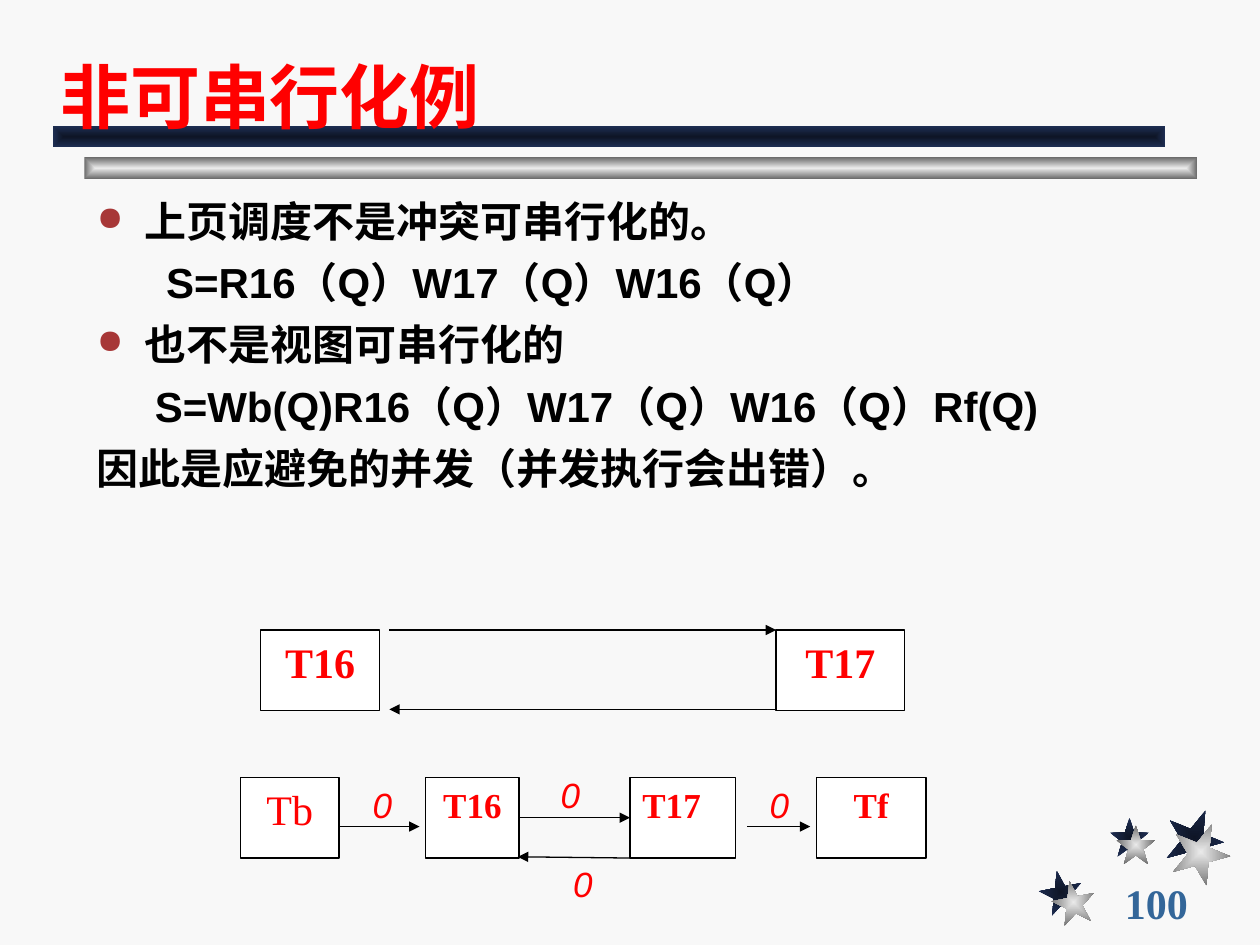
"""Build the slide about a schedule that is not serializable."""
import pptx
import pptx.util
import pptx.dml.color
import pptx.enum.shapes
import pptx.enum.text
import pptx.oxml
import pptx.oxml.ns
from lxml import etree

Inches = pptx.util.Inches
Pt = pptx.util.Pt
RGBColor = pptx.dml.color.RGBColor
Shape = pptx.enum.shapes.MSO_SHAPE
Align = pptx.enum.text.PP_ALIGN
Anchor = pptx.enum.text.MSO_ANCHOR
qn = pptx.oxml.ns.qn

PAPER = RGBColor(0xF8, 0xF8, 0xF8)
WHITE = RGBColor(0xFF, 0xFF, 0xFF)
BLACK = RGBColor(0x00, 0x00, 0x00)
RED = RGBColor(0xFF, 0x00, 0x00)
BLUE = RGBColor(0x33, 0x66, 0x99)
BULLET = RGBColor(0xA7, 0x37, 0x37)
NAVY = (RGBColor(0x0E, 0x15, 0x26), RGBColor(0x1E, 0x2E, 0x53))
SILVER = (RGBColor(0xEA, 0xEA, 0xEA), RGBColor(0x6C, 0x6C, 0x6C))
SERIF = "Times New Roman"
SANS = "Arial"

STARS = [
    (NAVY, 8.25, 6.91, 0.34, -11),
    (NAVY, 8.81, 6.49, 0.31, 0),
    (NAVY, 9.25, 6.42, 0.46, 22),
    (SILVER, 8.35, 6.99, 0.34, -11),
    (SILVER, 8.86, 6.55, 0.31, 0),
    (SILVER, 9.3, 6.53, 0.46, 22),
]
STATEMENTS = [
    ("上页调度不是冲突可串行化的。", True, 0.38),
    ("S=R16（Q）W17（Q）W16（Q）", False, 0.55),
    ("也不是视图可串行化的", True, 0.38),
    ("S=Wb(Q)R16（Q）W17（Q）W16（Q）Rf(Q)", False, 0.46),
    ("因此是应避免的并发（并发执行会出错）。", False, 0),
]
EDGE_LABELS = [(4.35, 6.09), (2.86, 6.17), (6.01, 6.17), (4.45, 6.8)]


def style_font(font, name, size, color, bold=False, italic=False):
    """Set the typeface, size, colour and weight of a font."""
    font.name, font.size = name, Pt(size)
    font.bold, font.italic = bold, italic
    font.color.rgb = color


def add_ornament(page, kind, colors, left, top, width, height, rotation=0):
    """Add a shape shaded from its centre to its edges."""
    shape = page.shapes.add_shape(
        kind, Inches(left), Inches(top), Inches(width), Inches(height))
    shape.rotation = rotation
    shape.shadow.inherit = False
    shape.line.fill.background()
    shape.fill.gradient()
    for stop, color in zip(shape.fill.gradient_stops, colors):
        stop.color.rgb = color
    gradient = shape._element.spPr.find(qn("a:gradFill"))
    gradient.remove(gradient.find(qn("a:lin")))
    shade = etree.SubElement(gradient, qn("a:path"), path="rect")
    etree.SubElement(shade, qn("a:fillToRect"), l="50000", t="50000", r="50000", b="50000")


def add_label(page, text, left, top, width, height, wrap=False,
              anchor=Anchor.TOP, align=Align.LEFT, **font):
    """Add a one-paragraph text box."""
    box = page.shapes.add_textbox(Inches(left), Inches(top), Inches(width), Inches(height))
    frame = box.text_frame
    frame.word_wrap = wrap
    frame.vertical_anchor = anchor
    frame.text = text
    para = frame.paragraphs[0]
    para.alignment = align
    style_font(para.runs[0].font, **font)


def add_statements(page):
    """Add the body text with its bulleted and indented lines."""
    box = page.shapes.add_textbox(Inches(0.67), Inches(1.5), Inches(8.98), Inches(2.41))
    frame = box.text_frame
    frame.word_wrap = True
    for index, (text, bulleted, indent) in enumerate(STATEMENTS):
        para = frame.add_paragraph() if index else frame.paragraphs[0]
        para.text = text
        para.line_spacing = 1.0
        if index:
            para.space_before = Pt(6.5)
        properties = para._p.get_or_add_pPr()
        properties.set("marL", str(Inches(indent)))
        properties.set("indent", str(-Inches(indent) if bulleted else 0))
        if bulleted:
            color = etree.SubElement(properties, qn("a:buClr"))
            etree.SubElement(color, qn("a:srgbClr"), val=str(BULLET))
            etree.SubElement(properties, qn("a:buSzPct"), val="80000")
            etree.SubElement(properties, qn("a:buChar"), char="●")
        style_font(para.runs[0].font, SANS, 24, BLACK, bold=True)


def add_node(page, text, left, top, width, size, bold=True, align=Align.CENTER):
    """Add a transaction box of the precedence graph."""
    node = page.shapes.add_shape(
        Shape.RECTANGLE, Inches(left), Inches(top), Inches(width), Inches(0.64))
    node.shadow.inherit = False
    node.fill.solid()
    node.fill.fore_color.rgb = WHITE
    node.line.color.rgb = BLACK
    node.line.width = Pt(0.75)
    frame = node.text_frame
    frame.vertical_anchor = Anchor.TOP
    frame.text = text
    para = frame.paragraphs[0]
    para.alignment = align
    style_font(para.runs[0].font, SERIF, size, RED, bold)
    return node


def add_arrow(page, start_x, start_y, end_x, end_y):
    """Add a thin arrow pointing at its end."""
    arrow = page.shapes.add_connector(
        pptx.enum.shapes.MSO_CONNECTOR.STRAIGHT,
        Inches(start_x), Inches(start_y), Inches(end_x), Inches(end_y))
    arrow.line.color.rgb = BLACK
    arrow.line.width = Pt(0.75)
    properties = arrow._element.spPr
    etree.SubElement(properties.find(qn("a:ln")), qn("a:tailEnd"), type="triangle")
    etree.SubElement(properties, qn("a:effectLst"))
    return arrow


def add_conflict_graph(page):
    """Add the upper graph with its two opposing arrows."""
    add_node(page, "T16", 2.07, 5, 0.94, 24)
    add_node(page, "T17", 6.16, 5, 1.02, 24)
    add_arrow(page, 3.09, 5, 6.16, 5)
    add_arrow(page, 6.16, 5.63, 3.09, 5.63)


def add_view_graph(page):
    """Add the lower graph with its labelled arrows."""
    first = add_node(page, "T16", 3.38, 6.17, 0.74, 20)
    second = add_node(page, "T17", 5, 6.17, 0.84, 20, align=Align.JUSTIFY)
    add_node(page, "Tf", 6.48, 6.17, 0.87, 20)
    add_node(page, "Tb", 1.91, 6.17, 0.78, 24, bold=False)
    forward = add_arrow(page, 4.12, 6.49, 5, 6.49)
    forward.begin_connect(first, 3)
    forward.end_connect(second, 1)
    add_arrow(page, 5, 6.81, 4.11, 6.8)
    add_arrow(page, 2.7, 6.56, 3.33, 6.56)
    add_arrow(page, 5.93, 6.56, 6.43, 6.56)
    for left, top in EDGE_LABELS:
        add_label(page, "0", left, top, 0.35, 0.44, align=Align.CENTER,
                  name=SANS, size=20, color=RED, italic=True)


def main():
    """Assemble the slide and save it."""
    deck = pptx.Presentation()
    deck.slide_width, deck.slide_height = Inches(10), Inches(7.5)
    page = deck.slides.add_slide(deck.slide_layouts[6])
    page.background.fill.solid()
    page.background.fill.fore_color.rgb = PAPER
    for colors, left, top, size, rotation in STARS:
        add_ornament(page, Shape.STAR_5_POINT, colors, left, top, size, size, rotation)
    add_ornament(page, Shape.RECTANGLE, SILVER, 0.67, 1.25, 8.83, 0.17)
    add_ornament(page, Shape.RECTANGLE, NAVY, 0.42, 1, 8.83, 0.17)
    add_label(page, "100", 8.83, 7, 1.08, 0.33, anchor=Anchor.MIDDLE,
              name=SERIF, size=24, color=BLUE, bold=True)
    add_label(page, "非可串行化例", 0.38, 0.22, 9.17, 0.92, wrap=True, anchor=Anchor.BOTTOM,
              name=SANS, size=40, color=RED, bold=True)
    add_statements(page)
    add_conflict_graph(page)
    add_view_graph(page)
    deck.save("out.pptx")


if __name__ == "__main__":
    main()
